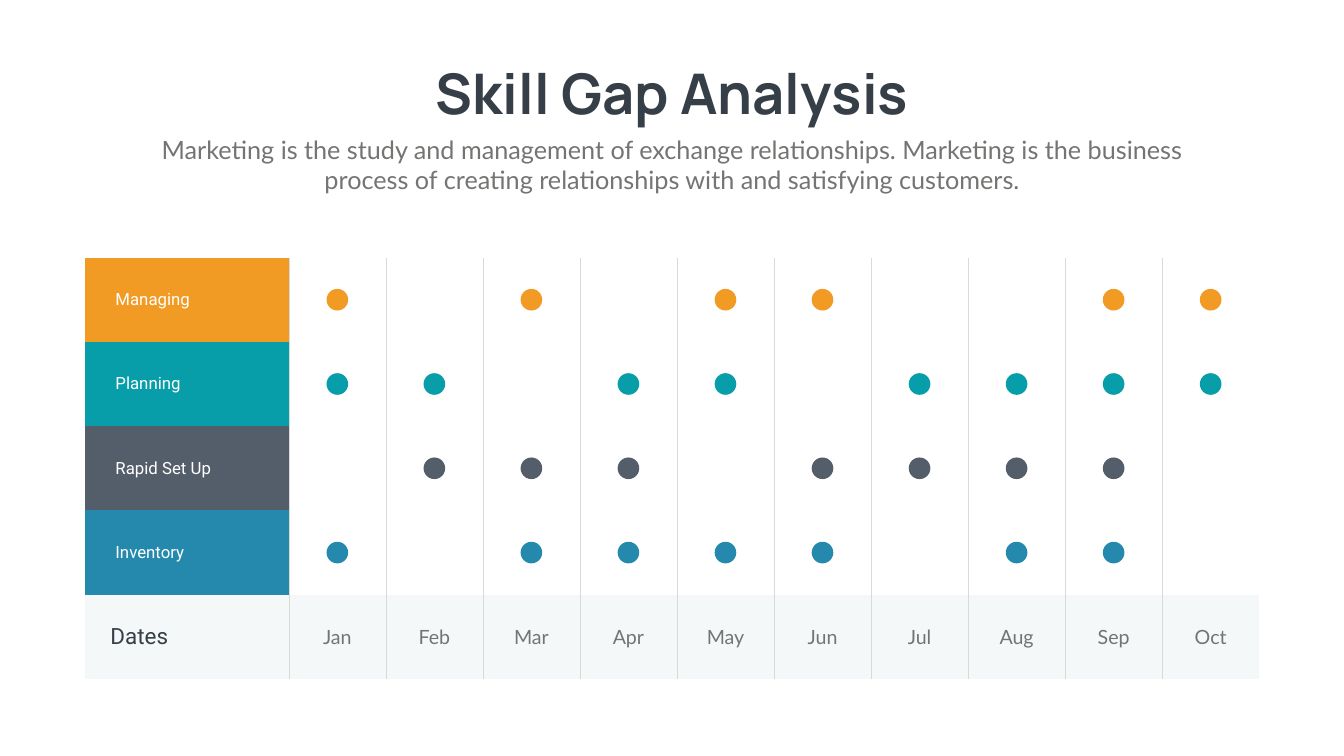
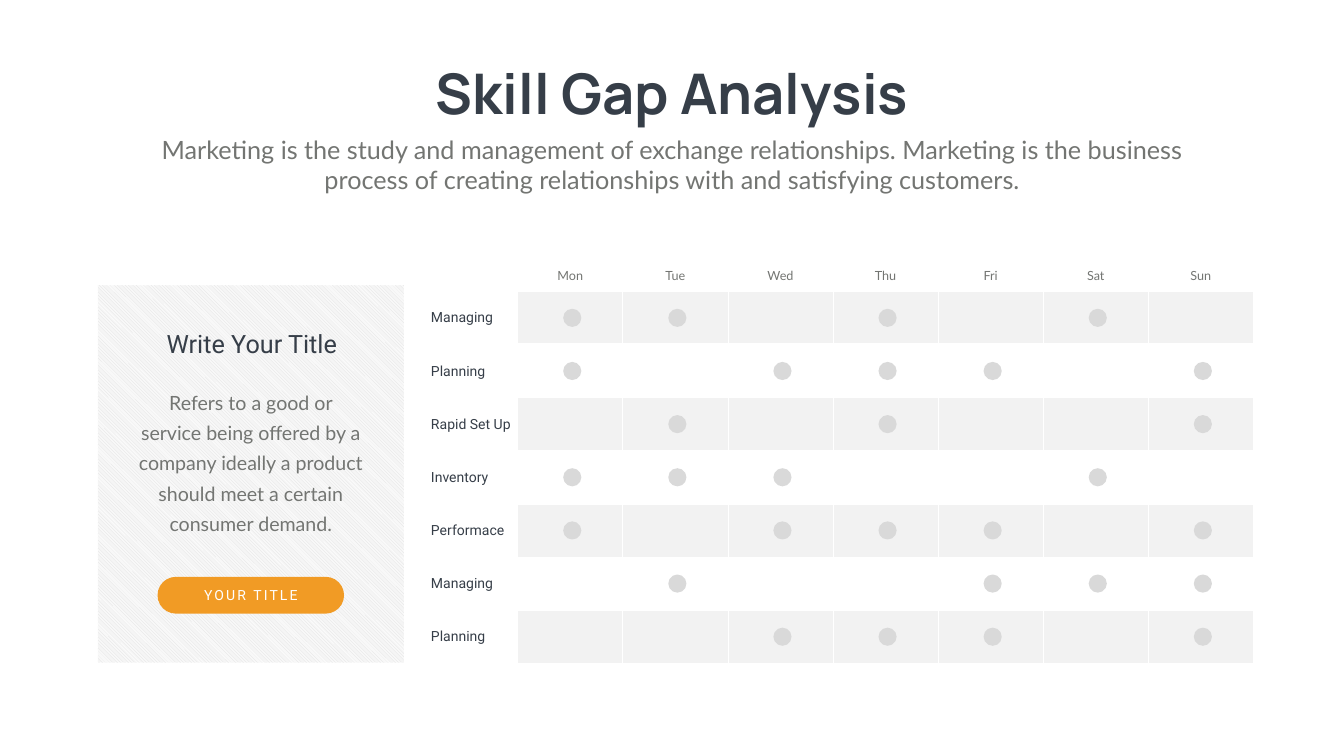
import dataclasses

import lxml.etree
import pptx
import pptx.dml.color
import pptx.enum.dml
import pptx.enum.shapes
import pptx.enum.text
import pptx.oxml.ns
import pptx.util

ALIGN = pptx.enum.text.PP_ALIGN
ANCHOR = pptx.enum.text.MSO_ANCHOR
SHAPE = pptx.enum.shapes.MSO_SHAPE

HEADING = "Skill Gap Analysis"
INTRO = ("Marketing is the study and management of exchange relationships. "
         "Marketing is the business process of creating relationships with "
         "and satisfying customers.")
MONTHS = ["Jan", "Feb", "Mar", "Apr", "May", "Jun", "Jul", "Aug", "Sep", "Oct"]
MONTHLY_SKILLS = [
    ("Managing", "orange", "Jan Mar May Jun Sep Oct"),
    ("Planning", "teal", "Jan Feb Apr May Jul Aug Sep Oct"),
    ("Rapid Set Up", "slate", "Feb Mar Apr Jun Jul Aug Sep"),
    ("Inventory", "blue", "Jan Mar Apr May Jun Aug Sep"),
]
DAYS = ["Mon", "Tue", "Wed", "Thu", "Fri", "Sat", "Sun"]
DAILY_SKILLS = [
    ("Managing", "Mon Tue Thu Sat"),
    ("Planning", "Mon Wed Thu Fri Sun"),
    ("Rapid Set Up", "Tue Thu Sun"),
    ("Inventory", "Mon Tue Wed Sat"),
    ("Performace", "Mon Wed Thu Fri Sun"),
    ("Managing", "Tue Fri Sat Sun"),
    ("Planning", "Wed Thu Fri Sun"),
]


@dataclasses.dataclass(frozen=True)
class Theme:
    colours = {
        "ink": "363E48", "grey": "737572", "white": "FFFFFF", "rule": "D9D9D9",
        "orange": "F19B25", "teal": "079DA9", "slate": "545D6A",
        "blue": "2489AC", "mist": "F5F8F9", "band": "F2F2F2",
    }
    text = {
        "heading": ("Manrope", 80, "ink", True),
        "intro": ("Lato", 36, "grey", False),
        "skill": ("Roboto", 24, "white", False),
        "dates": ("Roboto", 32, "ink", False),
        "month": ("Lato", 28, "grey", False),
        "day": ("Lato", 18, "grey", False),
        "row_label": ("Roboto", 20, "ink", False),
        "card_title": ("Roboto", 36, "ink", False),
        "card_body": ("Lato", 28, "grey", False),
        "button": ("Roboto", 20, "white", False),
    }

    def colour(self, name):
        return pptx.dml.color.RGBColor.from_string(self.colours[name])


def assign(target, **formats):
    for name, value in formats.items():
        setattr(target, name, value)


class Grid:
    def __init__(self, left, top, columns, rows):
        self.left, self.top = left, top
        self.columns, self.rows = columns, rows

    def centre(self, column, row):
        return (self.left + sum(self.columns[:column]) + self.columns[column] / 2,
                self.top + sum(self.rows[:row]) + self.rows[row] / 2)


class Deck:
    def __init__(self, theme):
        self.theme = theme
        self.presentation = pptx.Presentation()
        assign(self.presentation, slide_width=pptx.util.Inches(26.66),
               slide_height=pptx.util.Inches(15))
        self.slide = None

    def across(self, percent):
        return round(self.presentation.slide_width * percent / 100)

    def down(self, percent):
        return round(self.presentation.slide_height * percent / 100)

    def box(self, left, top, width, height):
        return self.across(left), self.down(top), self.across(width), self.down(height)

    def typeset(self, frame, words, style, align=ALIGN.CENTER, spacing=None, tracking=None):
        name, size, colour, bold = self.theme.text[style]
        paragraph = frame.paragraphs[0]
        assign(paragraph, alignment=align, line_spacing=spacing)
        run = paragraph.add_run()
        run.text = words
        assign(run.font, name=name, size=pptx.util.Pt(size), bold=bold)
        run.font.color.rgb = self.theme.colour(colour)
        if tracking:
            run._r.get_or_add_rPr().set("spc", str(tracking * 100))

    def add_slide(self, heading, intro):
        self.slide = self.presentation.slides.add_slide(self.presentation.slide_layouts[5])
        title = self.slide.shapes.title
        left, top, width, height = self.box(30.5, 7.47, 39.05, 9.67)
        assign(title, left=left, top=top, width=width, height=height)
        assign(title.text_frame, word_wrap=False, vertical_anchor=ANCHOR.TOP,
               auto_size=pptx.enum.text.MSO_AUTO_SIZE.SHAPE_TO_FIT_TEXT)
        self.typeset(title.text_frame, heading, "heading")
        self.text((10.95, 17.4, 78.1, 8.73), intro, "intro")

    def text(self, place, words, style, anchor=ANCHOR.TOP, inset=None, **formats):
        frame = self.slide.shapes.add_textbox(*self.box(*place)).text_frame
        assign(frame, word_wrap=True, vertical_anchor=anchor)
        if inset:
            side, edge = self.across(inset[0]), self.down(inset[1])
            assign(frame, margin_left=side, margin_right=side,
                   margin_top=edge, margin_bottom=edge)
        self.typeset(frame, words, style, **formats)

    def shape(self, kind, bounds, colour):
        item = self.slide.shapes.add_shape(kind, *bounds)
        item.shadow.inherit = False
        item.line.fill.background()
        item.fill.solid()
        item.fill.fore_color.rgb = self.theme.colour(colour)
        return item

    def dot(self, centre, diameter, colour):
        size = self.across(diameter)
        x, y = self.across(centre[0]), self.down(centre[1])
        self.shape(SHAPE.OVAL, (x - size // 2, y - size // 2, size, size), colour)

    def hatched_panel(self, place):
        panel = self.shape(SHAPE.RECTANGLE, self.box(*place), "white")
        panel.fill.patterned()
        panel.fill.pattern = pptx.enum.dml.MSO_PATTERN.LIGHT_DOWNWARD_DIAGONAL
        panel.fill.fore_color.rgb = self.theme.colour("rule")
        panel.fill.back_color.rgb = self.theme.colour("white")

    def pill(self, place):
        button = self.shape(SHAPE.ROUNDED_RECTANGLE, self.box(*place), "orange")
        button.adjustments[0] = 0.5

    def table(self, grid):
        place = grid.left, grid.top, sum(grid.columns), sum(grid.rows)
        table = self.slide.shapes.add_table(
            len(grid.rows), len(grid.columns), *self.box(*place)).table
        assign(table, first_row=False, horz_banding=False)
        for column, width in zip(table.columns, grid.columns):
            column.width = self.across(width)
        for row, height in zip(table.rows, grid.rows):
            row.height = self.down(height)
        return table

    def cell(self, cell, colour, border, widths):
        properties = cell._tc.get_or_add_tcPr()
        for side in "LRTB":
            width = widths.get(side, 0)
            line = lxml.etree.SubElement(
                properties, pptx.oxml.ns.qn("a:ln" + side), w=str(int(pptx.util.Pt(width))))
            if width:
                fill = lxml.etree.SubElement(line, pptx.oxml.ns.qn("a:solidFill"))
                lxml.etree.SubElement(fill, pptx.oxml.ns.qn("a:srgbClr"),
                                      val=self.theme.colours[border])
            else:
                lxml.etree.SubElement(line, pptx.oxml.ns.qn("a:noFill"))
        cell.fill.solid()
        cell.fill.fore_color.rgb = self.theme.colour(colour)
        cell.vertical_anchor = ANCHOR.MIDDLE


def monthly_slide(deck):
    deck.add_slide(HEADING, INTRO)
    calendar = Grid(6.34, 34.07, [15.15] + [7.22] * len(MONTHS),
                    [11.15] * (len(MONTHLY_SKILLS) + 1))
    table = deck.table(calendar)
    last = len(MONTHS)
    dates = ("Dates", "mist", "")
    for row, (label, colour, _) in enumerate(MONTHLY_SKILLS + [dates]):
        is_dates = row == len(MONTHLY_SKILLS)
        for column in range(last + 1):
            cell = table.cell(row, column)
            fill = colour if column == 0 or is_dates else "white"
            deck.cell(cell, fill, "rule", {"L": int(column > 0), "R": int(column < last)})
            if column == 0:
                cell.margin_left = deck.across(1.88 if is_dates else 2.25)
                deck.typeset(cell.text_frame, label, "dates" if is_dates else "skill",
                             align=ALIGN.LEFT)
            elif is_dates:
                deck.typeset(cell.text_frame, MONTHS[column - 1], "month")
    for row, (_, colour, active) in enumerate(MONTHLY_SKILLS):
        for month in active.split():
            deck.dot(calendar.centre(MONTHS.index(month) + 1, row), 1.61, colour)


def daily_slide(deck):
    deck.add_slide(HEADING, INTRO)
    week = Grid(38.52, 38.53, [7.82] * len(DAYS), [7.03] * len(DAILY_SKILLS))
    table = deck.table(week)
    for row in range(len(DAILY_SKILLS)):
        for column in range(len(DAYS)):
            deck.cell(table.cell(row, column), "white" if row % 2 else "band", "white",
                      {"L": 1, "R": 1, "T": 1, "B": 1 if row else 3})
    for column, day in enumerate(DAYS):
        x, _ = week.centre(column, 0)
        deck.text((x - 3.43, 35.07, 6.86, 2.67), day, "day", anchor=ANCHOR.MIDDLE)
    for row, (skill, _) in enumerate(DAILY_SKILLS):
        _, y = week.centre(0, row)
        deck.text((31.7, y - 1.5, 7.05, 2.93), skill, "row_label", align=ALIGN.LEFT)

    deck.hatched_panel((7.28, 37.73, 22.77, 49.93))
    deck.text((9.41, 50.07, 18.49, 21.27),
              "Refers to a good or service being offered by a company ideally "
              "a product should meet a certain consumer demand.",
              "card_body", inset=(0.9, 0.8), spacing=pptx.util.Pt(43))
    deck.pill((11.72, 76.3, 13.88, 4.87))
    deck.text((12.83, 77.27, 11.67, 2.93), "YOUR TITLE", "button", tracking=3)
    deck.text((10.47, 43.07, 16.54, 4.73), "Write Your Title", "card_title")

    for row, (_, active) in enumerate(DAILY_SKILLS):
        for day in active.split():
            x, y = week.centre(DAYS.index(day), row)
            deck.dot((x + 0.15, y), 1.35, "rule")


def main():
    deck = Deck(Theme())
    monthly_slide(deck)
    daily_slide(deck)
    deck.presentation.save("out.pptx")


if __name__ == "__main__":
    main()
